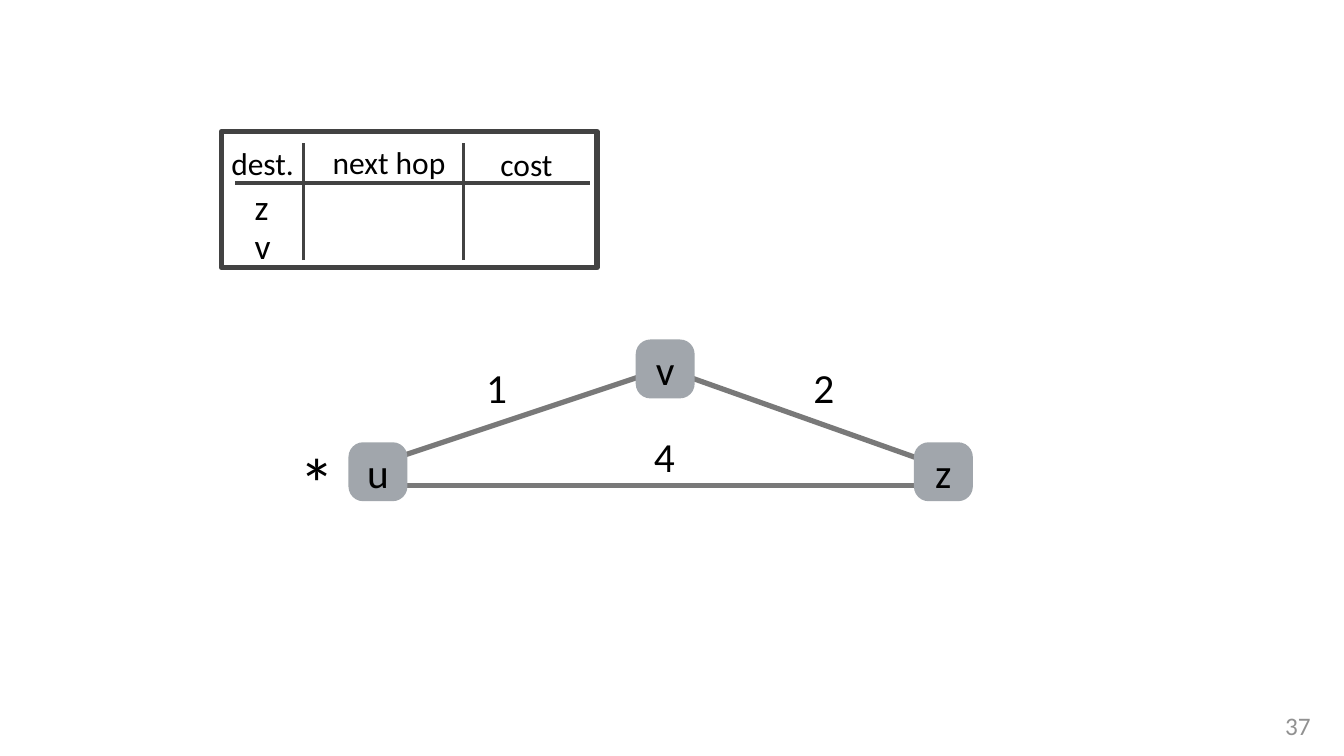
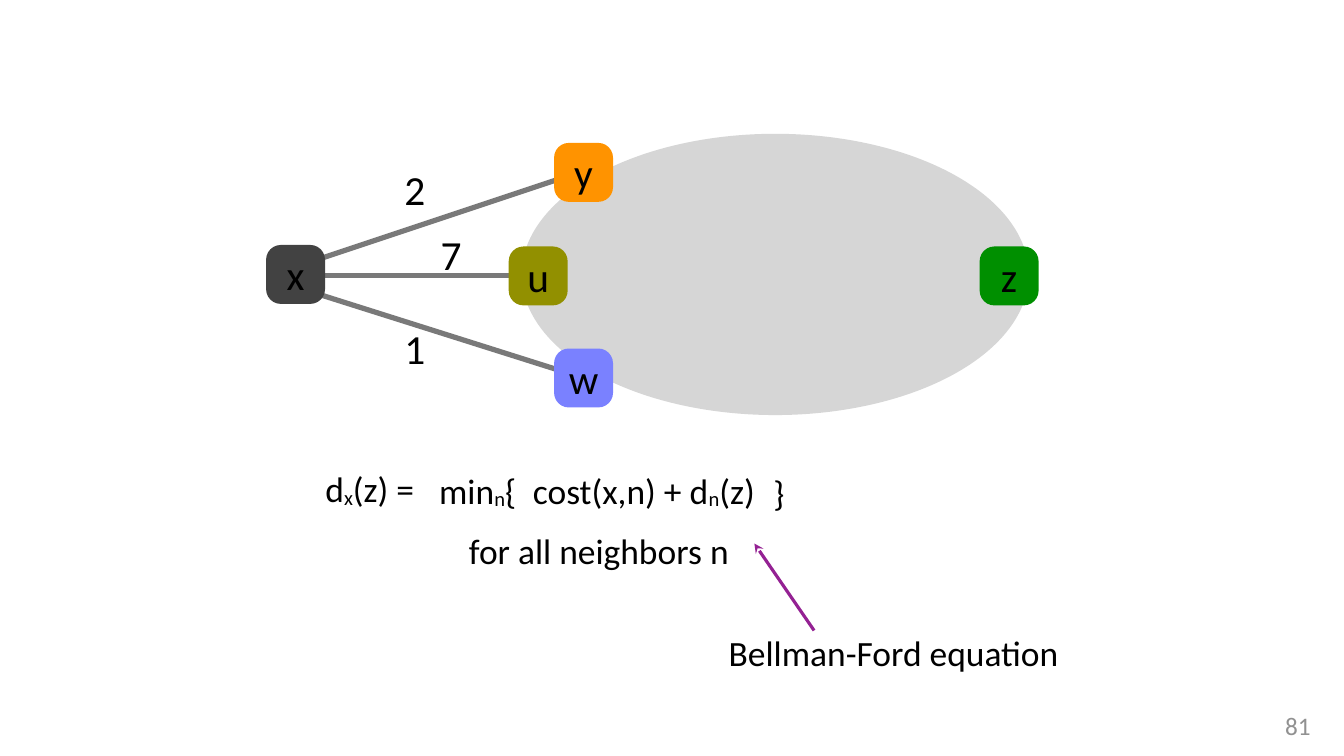
from dataclasses import dataclass

from lxml.etree import SubElement
from pptx import Presentation
from pptx.dml.color import RGBColor
from pptx.enum.shapes import MSO_CONNECTOR, MSO_SHAPE
from pptx.enum.text import MSO_ANCHOR, MSO_AUTO_SIZE as AutoSize, PP_ALIGN
from pptx.oxml.ns import qn
from pptx.util import Inches, Pt

# Shared style
FONT = "Calibri"
BLACK = RGBColor(0x00, 0x00, 0x00)
DARK = RGBColor(0x42, 0x42, 0x42)
LINK_GRAY = RGBColor(0x79, 0x79, 0x79)
NUMBER_GRAY = RGBColor(0x91, 0x91, 0x91)
NODE_GRAY = RGBColor(0xA1, 0xA6, 0xAC)
CLOUD_GRAY = RGBColor(0xD6, 0xD6, 0xD6)
ORANGE = RGBColor(0xFF, 0x93, 0x00)
OLIVE = RGBColor(0x92, 0x90, 0x00)
BLUE = RGBColor(0x7A, 0x81, 0xFF)
GREEN = RGBColor(0x00, 0x8F, 0x00)
PURPLE = RGBColor(0x94, 0x21, 0x93)

NODE_SIZE = 0.78
NODE_PT, HEADER_PT, BODY_PT, STAR_PT, NUMBER_PT = 39.4, 30, 33.8, 67.5, 24
COST_W, COST_H = 0.39, 0.77
LINE_H = 0.67


@dataclass
class Node:
    name: str
    left: float
    top: float
    color: RGBColor = NODE_GRAY


@dataclass
class Line:
    x1: float
    y1: float
    x2: float
    y2: float
    color: RGBColor = LINK_GRAY
    width: float = 5
    arrow_at_start: bool = False


@dataclass
class Label:
    """Text in a box; pieces between bars are subscripts."""
    text: str
    left: float
    top: float
    width: float
    height: float
    size: float = BODY_PT
    color: RGBColor = BLACK
    centered: bool = False
    wrap: bool = True
    grow: bool = True
    inset: float = 0.05
    anchor: MSO_ANCHOR = MSO_ANCHOR.MIDDLE


def box(left: float, top: float, width: float, height: float) -> tuple:
    return Inches(left), Inches(top), Inches(width), Inches(height)


def write(tf, text: str, size: float, color: RGBColor, centered: bool,
          inset: float, anchor: MSO_ANCHOR) -> None:
    tf.margin_left = tf.margin_right = Inches(inset)
    tf.margin_top = tf.margin_bottom = Inches(inset)
    tf.vertical_anchor = anchor
    p = tf.paragraphs[0]
    p.alignment = PP_ALIGN.CENTER if centered else PP_ALIGN.LEFT
    for i, piece in enumerate(text.split("|")):
        r = p.add_run()
        r.text = piece
        r.font.name, r.font.size = FONT, Pt(size)
        r.font.color.rgb = color
        if i % 2:
            r.font._element.set("baseline", "-6000")


def add_label(shapes, label: Label) -> None:
    sp = shapes.add_textbox(*box(label.left, label.top, label.width, label.height))
    tf = sp.text_frame
    tf.word_wrap = label.wrap
    tf.auto_size = AutoSize.SHAPE_TO_FIT_TEXT if label.grow else AutoSize.NONE
    write(tf, label.text, label.size, label.color, label.centered,
          label.inset, label.anchor)


def add_cost(shapes, text: str, left: float, top: float) -> None:
    add_label(shapes, Label(text, left, top, COST_W, COST_H, NODE_PT))


def add_node(shapes, node: Node) -> None:
    sp = shapes.add_shape(MSO_SHAPE.ROUNDED_RECTANGLE,
                          *box(node.left, node.top, NODE_SIZE, NODE_SIZE))
    sp.adjustments[0] = 0.25
    sp.shadow.inherit = False
    sp.fill.solid()
    sp.fill.fore_color.rgb = node.color
    sp.line.fill.background()
    write(sp.text_frame, node.name, NODE_PT, BLACK, True, 0, MSO_ANCHOR.MIDDLE)


def add_line(shapes, line: Line) -> None:
    c = shapes.add_connector(MSO_CONNECTOR.STRAIGHT, Inches(line.x1), Inches(line.y1),
                             Inches(line.x2), Inches(line.y2))
    c.line.color.rgb = line.color
    c.line.width = Pt(line.width)
    if line.arrow_at_start:
        SubElement(c.line._get_or_add_ln(), qn("a:headEnd"), type="stealth")
    SubElement(c._element.spPr, qn("a:effectLst"))


def add_routing_table(shapes) -> None:
    """Framed open grid whose rules stop short of the frame."""
    grp = shapes.add_group_shape().shapes
    frame = grp.add_shape(MSO_SHAPE.RECTANGLE, *box(2.93, 1.74, 4.97, 1.8))
    frame.shadow.inherit = False
    frame.fill.background()
    frame.line.color.rgb = DARK
    frame.line.width = Pt(5)
    for text, left, top, width in (("dest.", 3.01, 1.85, 2.08),
                                   ("next hop", 4.35, 1.84, 1.64),
                                   ("cost", 6.57, 1.86, 0.96)):
        add_label(grp, Label(text, left, top, width, 0.61, HEADER_PT, grow=False))
    for text, top in (("z", 2.39), ("v", 2.9)):
        add_label(grp, Label(text, 3.32, top, 0.5, 0.68, grow=False))
    add_line(grp, Line(3.11, 2.42, 7.81, 2.42, DARK, 3))
    for x in (4.01, 6.13):
        add_line(grp, Line(x, 3.44, x, 1.89, DARK, 3))


def new_slide(prs, number: int):
    s = prs.slides.add_slide(prs.slide_layouts[6])
    add_label(s.shapes, Label(str(number), 16.94, 9.39, 0.46, 0.5, NUMBER_PT,
                              NUMBER_GRAY, centered=True, wrap=False, inset=0,
                              anchor=MSO_ANCHOR.TOP))
    return s


def build_triangle(prs) -> None:
    shapes = new_slide(prs, 37).shapes
    # Links, then the nodes that cover their ends
    for line in (Line(8.56, 4.95, 5.2, 6.07), Line(5.3, 6.42, 12.39, 6.42),
                 Line(9.01, 4.95, 12.39, 6.15)):
        add_line(shapes, line)
    for node in (Node("u", 4.61, 5.85), Node("z", 12.09, 5.85), Node("v", 8.41, 4.49)):
        add_node(shapes, node)
    for cost in (("4", 8.6, 5.64), ("1", 6.38, 4.73), ("2", 10.71, 4.73)):
        add_cost(shapes, *cost)
    add_routing_table(shapes)
    # Marker of the node that owns the table
    add_label(shapes, Label("*", 3.91, 5.75, 0.51, 1.24, STAR_PT))


def build_bellman_ford(prs) -> None:
    shapes = new_slide(prs, 81).shapes
    # Network cloud
    cloud = shapes.add_shape(MSO_SHAPE.OVAL, *box(6.9, 1.77, 6.71, 3.72))
    cloud.shadow.inherit = False
    cloud.fill.solid()
    cloud.fill.fore_color.rgb = CLOUD_GRAY
    cloud.line.fill.background()
    # Links, then the nodes that cover their ends
    for line in (Line(7.48, 2.34, 4.12, 3.46), Line(4.05, 3.84, 7.5, 4.93),
                 Line(4.16, 3.64, 6.99, 3.64)):
        add_line(shapes, line)
    for node in (Node("y", 7.33, 1.89, ORANGE), Node("w", 7.33, 4.61, BLUE),
                 Node("x", 3.52, 3.24, DARK), Node("u", 6.73, 3.26, OLIVE),
                 Node("z", 12.96, 3.26, GREEN)):
        add_node(shapes, node)
    for cost in (("7", 5.78, 2.98), ("2", 5.3, 2.12), ("1", 5.3, 4.22)):
        add_cost(shapes, *cost)
    # Equation and its caption
    add_label(shapes, Label("cost(x,n) + d|n|(z)", 7, 6.15, 3.27, LINE_H))
    for text, left, top, width in (("d|x|(z) = ", 4.24, 6.13, 1.41),
                                   ("min|n|{", 5.74, 6.15, 1.16),
                                   ("}", 10.18, 6.18, 0.25),
                                   ("for all neighbors n", 6.13, 6.95, 3.59)):
        add_label(shapes, Label(text, left, top, width, LINE_H,
                                centered=True, wrap=False))
    add_label(shapes, Label("Bellman-Ford equation", 8.94, 8.29, 5.77, LINE_H,
                            centered=True))
    add_line(shapes, Line(9.98, 7.19, 10.77, 8.34, PURPLE, 3, arrow_at_start=True))


def main() -> None:
    prs = Presentation()
    prs.slide_width, prs.slide_height = Inches(17.78), Inches(10)
    build_triangle(prs)
    build_bellman_ford(prs)
    prs.save("out.pptx")


if __name__ == "__main__":
    main()
